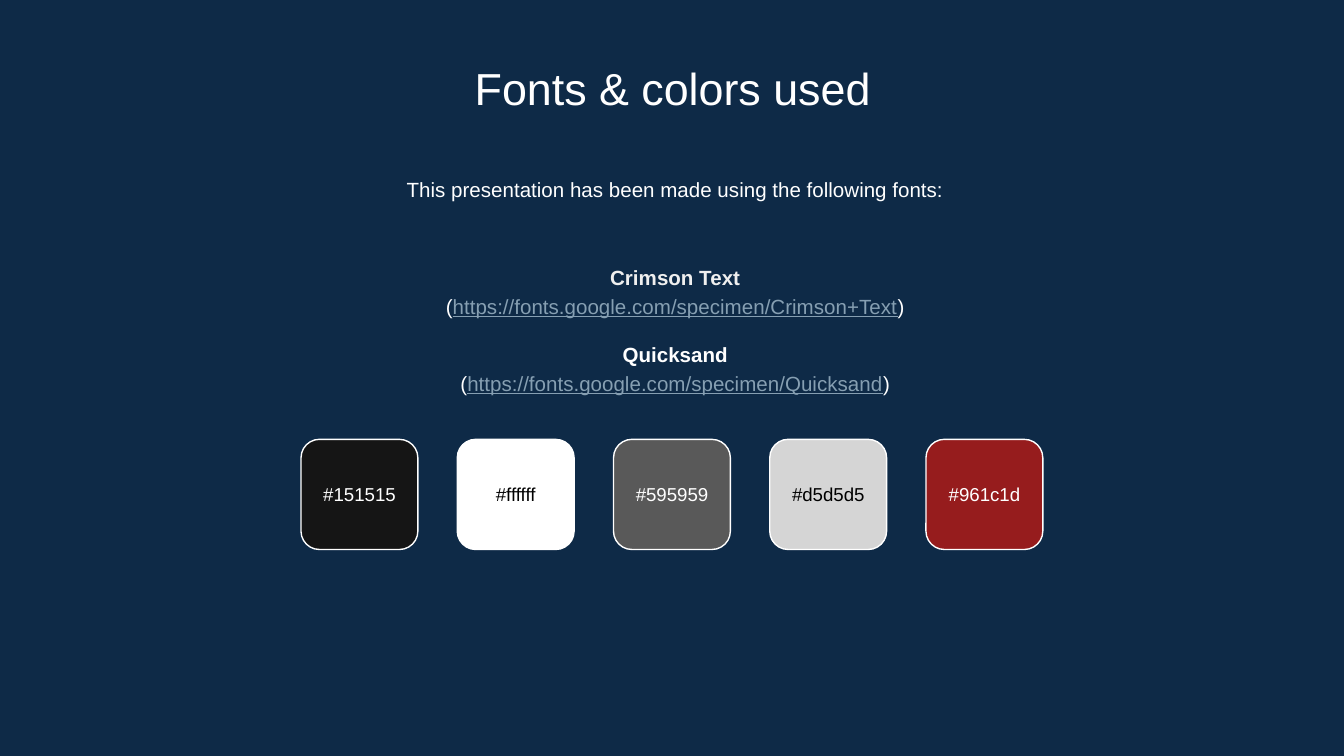
from dataclasses import dataclass

from lxml.etree import SubElement
from pptx import Presentation
from pptx.dml.color import RGBColor
from pptx.enum.shapes import MSO_SHAPE as Shape
from pptx.enum.text import MSO_ANCHOR as Anchor, MSO_AUTO_SIZE as AutoSize, PP_ALIGN as Align
from pptx.oxml.ns import qn
from pptx.util import Pt

FONT = "Arial"
WHITE, BLACK, PALE, LINK, NAVY = "FFFFFF", "000000", "EFEFEF", "869FB2", "0E2A47"
SLIDE_W, SLIDE_H = 720, 405
TEXT_W = 555.1
SWATCH_W, SWATCH_H, SWATCH_TOP, SWATCH_STEP = 62.6, 59, 235.4, 83.7
LABEL_H = 34.6
FONT_GAP = 11


@dataclass
class FontEntry:
    name: str
    url: str
    color: str


@dataclass
class Swatch:
    code: str
    label_color: str


FONTS = [
    FontEntry("Crimson Text", "https://fonts.google.com/specimen/Crimson+Text", PALE),
    FontEntry("Quicksand", "https://fonts.google.com/specimen/Quicksand", WHITE),
]
SWATCHES = [
    Swatch("#151515", WHITE),
    Swatch("#ffffff", BLACK),
    Swatch("#595959", WHITE),
    Swatch("#d5d5d5", BLACK),
    Swatch("#961c1d", WHITE),
]


def rgb(color: str) -> RGBColor:
    return RGBColor.from_string(color.lstrip("#").upper())


def place(box, left: float, top: float, width: float, height: float, anchor) -> None:
    """Position a text holder and give its frame the common settings."""
    box.left, box.top, box.width, box.height = Pt(left), Pt(top), Pt(width), Pt(height)
    frame = box.text_frame
    frame.word_wrap = True
    frame.auto_size = AutoSize.NONE
    frame.vertical_anchor = anchor
    frame.margin_left = frame.margin_right = Pt(7.2)
    frame.margin_top = frame.margin_bottom = Pt(7.2)


def format_paragraph(paragraph, size: float, color: str, spacing: float = 1,
                     before: float = 0, bold: bool = False) -> None:
    paragraph.alignment = Align.CENTER
    paragraph.line_spacing = spacing
    paragraph.space_before = Pt(before)
    font = paragraph.font
    font.name, font.size, font.bold = FONT, Pt(size), bold
    font.color.rgb = rgb(color)


def remove_bullet(paragraph) -> None:
    properties = paragraph._p.get_or_add_pPr()
    properties.set("marL", "0")
    properties.set("indent", "0")
    SubElement(properties, qn("a:buNone"))


def add_font_entry(frame, entry: FontEntry, first: bool) -> None:
    name = frame.paragraphs[0] if first else frame.add_paragraph()
    name.text = entry.name
    remove_bullet(name)
    format_paragraph(name, 11, entry.color, 1.15, 0 if first else FONT_GAP, bold=True)

    address = frame.add_paragraph()
    remove_bullet(address)
    format_paragraph(address, 11, WHITE, 1.15)
    for text in ("(", entry.url, ")"):
        run = address.add_run()
        run.text = text
        if text == entry.url:
            run.font.underline = True
            run.font.color.rgb = rgb(LINK)


def add_swatch(slide, swatch: Swatch, left: float) -> None:
    tile = slide.shapes.add_shape(Shape.ROUNDED_RECTANGLE, Pt(left), Pt(SWATCH_TOP),
                                  Pt(SWATCH_W), Pt(SWATCH_H))
    tile.shadow.inherit = False
    tile.fill.solid()
    tile.fill.fore_color.rgb = rgb(swatch.code)
    tile.line.color.rgb = rgb(WHITE)
    tile.line.width = Pt(0.75)

    label = slide.shapes.add_textbox(0, 0, 0, 0)
    label_top = SWATCH_TOP + (SWATCH_H - LABEL_H) / 2
    place(label, left, label_top, SWATCH_W, LABEL_H, Anchor.MIDDLE)
    label.text_frame.text = swatch.code
    format_paragraph(label.text_frame.paragraphs[0], 10, swatch.label_color)


def main() -> None:
    presentation = Presentation()
    presentation.slide_width, presentation.slide_height = Pt(SLIDE_W), Pt(SLIDE_H)
    slide = presentation.slides.add_slide(presentation.slide_layouts[1])
    slide.background.fill.solid()
    slide.background.fill.fore_color.rgb = rgb(NAVY)

    # Title
    title = slide.shapes.title
    place(title, 82.8, 25.2, TEXT_W, 38.2, Anchor.TOP)
    title.text_frame.text = "Fonts & colors used"
    format_paragraph(title.text_frame.paragraphs[0], 24, WHITE)

    # Introduction
    intro = slide.shapes.add_textbox(0, 0, 0, 0)
    place(intro, 84.2, 85.7, TEXT_W, 34.6, Anchor.TOP)
    intro.text_frame.text = "This presentation has been made using the following fonts:"
    format_paragraph(intro.text_frame.paragraphs[0], 11, WHITE, 1.15)

    # Font list
    font_list = slide.placeholders[1]
    place(font_list, 84.2, 126.7, TEXT_W, 98.6, Anchor.MIDDLE)
    for index, entry in enumerate(FONTS):
        add_font_entry(font_list.text_frame, entry, first=index == 0)

    # Colour swatches, centred as a row
    row_width = SWATCH_STEP * (len(SWATCHES) - 1) + SWATCH_W
    row_left = (SLIDE_W - row_width) / 2
    for index, swatch in enumerate(SWATCHES):
        add_swatch(slide, swatch, row_left + index * SWATCH_STEP)

    presentation.save("out.pptx")


if __name__ == "__main__":
    main()
